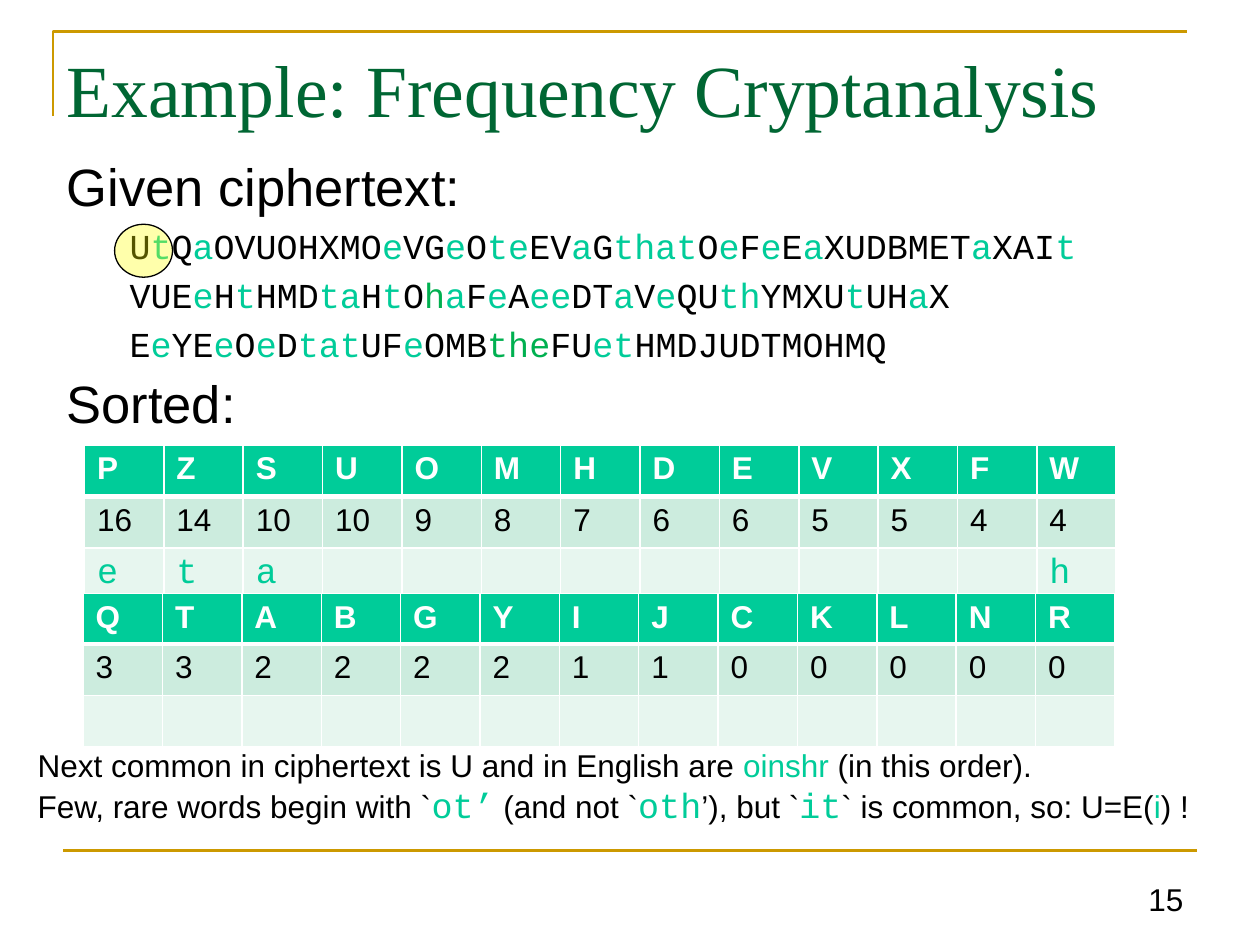
import itertools
import lxml.etree
import pptx
import pptx.dml.color
import pptx.enum.shapes
import pptx.enum.text
import pptx.oxml.ns
import pptx.util

Inches = pptx.util.Inches
Pt = pptx.util.Pt
qn = pptx.oxml.ns.qn
sub = lxml.etree.SubElement
SANS, MONO, SERIF = "Arial", "Courier New", "Times New Roman"
BLACK, WHITE, MINT, LEAF, GOLD = "000000", "FFFFFF", "00CC99", "00B050", "CC9900"


def tint(part, code):
    part.rgb = pptx.dml.color.RGBColor.from_string(code)


def write(para, text, size=18, face=SANS, code=BLACK, bold=False):
    run = para.add_run()
    run.text = text
    run.font.size = Pt(size)
    run.font.name = face
    run.font.bold = bold
    tint(run.font.color, code)


deck = pptx.Presentation()
deck.slide_width = Inches(10)
deck.slide_height = Inches(7.5)
slide = deck.slides.add_slide(deck.slide_layouts[5])
shapes = slide.shapes

pen = shapes.build_freeform(Inches(0.42), Inches(0.92))
pen.add_line_segments([(Inches(0.42), Inches(0.25)), (Inches(9.42), Inches(0.25))], close=False)
frame = pen.convert_to_shape()
frame.shadow.inherit = False
frame.fill.background()
rule = shapes.add_connector(
    pptx.enum.shapes.MSO_CONNECTOR.STRAIGHT, Inches(0.5), Inches(6.75), Inches(9.5), Inches(6.75))
for edge in (frame, rule):
    tint(edge.line.color, GOLD)
    edge.line.width = Pt(1.5)
sub(rule._element.spPr, qn("a:effectLst"))

title = shapes.title
title.left, title.top = Inches(0.43), Inches(0.3)
title.width, title.height = Inches(9.07), Inches(1.5)
text = title.text_frame
text.vertical_anchor = pptx.enum.text.MSO_ANCHOR.TOP
text.auto_size = pptx.enum.text.MSO_AUTO_SIZE.NONE
text.paragraphs[0].alignment = pptx.enum.text.PP_ALIGN.LEFT
write(text.paragraphs[0], "Example: Frequency Cryptanalysis", 42, SERIF, "006633")

# Lower case is solved; stars enclose the letters found last.
lines = [
    "Given ciphertext:",
    "UtQaOVUOHXMOeVGeOteEVaGthatOeFeEaXUDBMETaXAIt",
    "VUEeHtHMDtaHtO*h*aFeAeeDTaVeQUthYMXUtUHaX",
    "EeYEeOeDtatUFeOMB*the*FUetHMDJUDTMOHMQ",
    "Sorted:",
]
text = shapes.add_textbox(Inches(0.43), Inches(1.23), Inches(9.42), Inches(2.3)).text_frame
text.word_wrap = True
for row, line in enumerate(lines):
    para = text.paragraphs[0] if row == 0 else text.add_paragraph()
    head = line.endswith(":")
    left, hang = (0.38, 0.38) if head else (0.81, 0.31)
    para.level = 0 if head else 1
    para.line_spacing = 0.9
    para.space_before = Pt(7.5 if head else 6.5)
    props = para._p.get_or_add_pPr()
    props.set("marL", str(Inches(left)))
    props.set("indent", str(-Inches(hang)))
    if head:
        write(para, line, 30)
        continue
    for turn, part in enumerate(line.split("*")):
        for low, group in itertools.groupby(part, str.islower):
            code = LEAF if turn % 2 else MINT if low else BLACK
            write(para, "".join(group), 20, MONO, code)

tables = [
    (0.67, 3.53, 0.41, "PZSUOMHDEVXFW", [16, 14, 10, 10, 9, 8, 7, 6, 6, 5, 5, 4, 4],
     {"P": "e", "Z": "t", "S": "a", "W": "h"}),
    (0.66, 4.71, 0.33, "QTABGYIJCKLNR", [3, 3, 2, 2, 2, 2, 1, 1, 0, 0, 0, 0, 0], {}),
]
styles = [(18, SANS, WHITE, True), (18, SANS, BLACK, False), (20, MONO, MINT, False)]
fills = [MINT, "CCECDE", "E7F6EF"]
for left, top, high, keys, counts, plain in tables:
    grid = shapes.add_table(
        3, 13, Inches(left), Inches(top), Inches(8.19), Inches(high + 0.82)).table
    grid.horz_banding = False
    for col in grid.columns:
        col.width = Inches(0.63)
    for row, tall in zip(grid.rows, (high, 0.41, 0.41)):
        row.height = Inches(tall)
    for col, (key, count) in enumerate(zip(keys, counts)):
        for row, word in enumerate((key, str(count), plain.get(key, ""))):
            cell = grid.cell(row, col)
            props = cell._tc.get_or_add_tcPr()
            for side in "LRTB":
                thick = 3 if (row, side) in ((0, "B"), (1, "T")) else 1
                line = sub(props, qn("a:ln" + side), w=str(Pt(thick)))
                sub(sub(line, qn("a:solidFill")), qn("a:srgbClr"), val=WHITE)
            cell.fill.solid()
            tint(cell.fill.fore_color, fills[row])
            para = cell.text_frame.paragraphs[0]
            if word:
                write(para, word, *styles[row])
            else:
                para.font.size = Pt(18)

text = shapes.add_textbox(Inches(0.2), Inches(5.87), Inches(9.35), Inches(0.74)).text_frame
text.word_wrap = False
para = text.paragraphs[0]
write(para, "Next common in ciphertext is U and in English are ")
write(para, "oinshr", code=MINT)
write(para, " (in this order).")
para.add_line_break()
write(para, "Few, rare words begin with `")
for code, rest in (("ot’", " (and not `"), ("oth", "’), but `"), ("it", "` is common, so: U=E(")):
    write(para, code, 20, MONO, MINT)
    write(para, rest)
write(para, "i", code=MINT)
write(para, ") !")

ring = shapes.add_shape(
    pptx.enum.shapes.MSO_SHAPE.OVAL, Inches(0.91), Inches(1.78), Inches(0.46), Inches(0.42))
ring.shadow.inherit = False
ring.fill.solid()
tint(ring.fill.fore_color, "FFFF00")
sub(ring._element.spPr.find(".//" + qn("a:srgbClr")), qn("a:alpha"), val="33000")
tint(ring.line.color, BLACK)
ring.line.width = Pt(0.75)

text = shapes.add_textbox(Inches(8.96), Inches(6.84), Inches(0.53), Inches(0.49)).text_frame
text.word_wrap = True
text.vertical_anchor = pptx.enum.text.MSO_ANCHOR.BOTTOM
text.paragraphs[0].alignment = pptx.enum.text.PP_ALIGN.RIGHT
write(text.paragraphs[0], "15")

deck.save("out.pptx")
